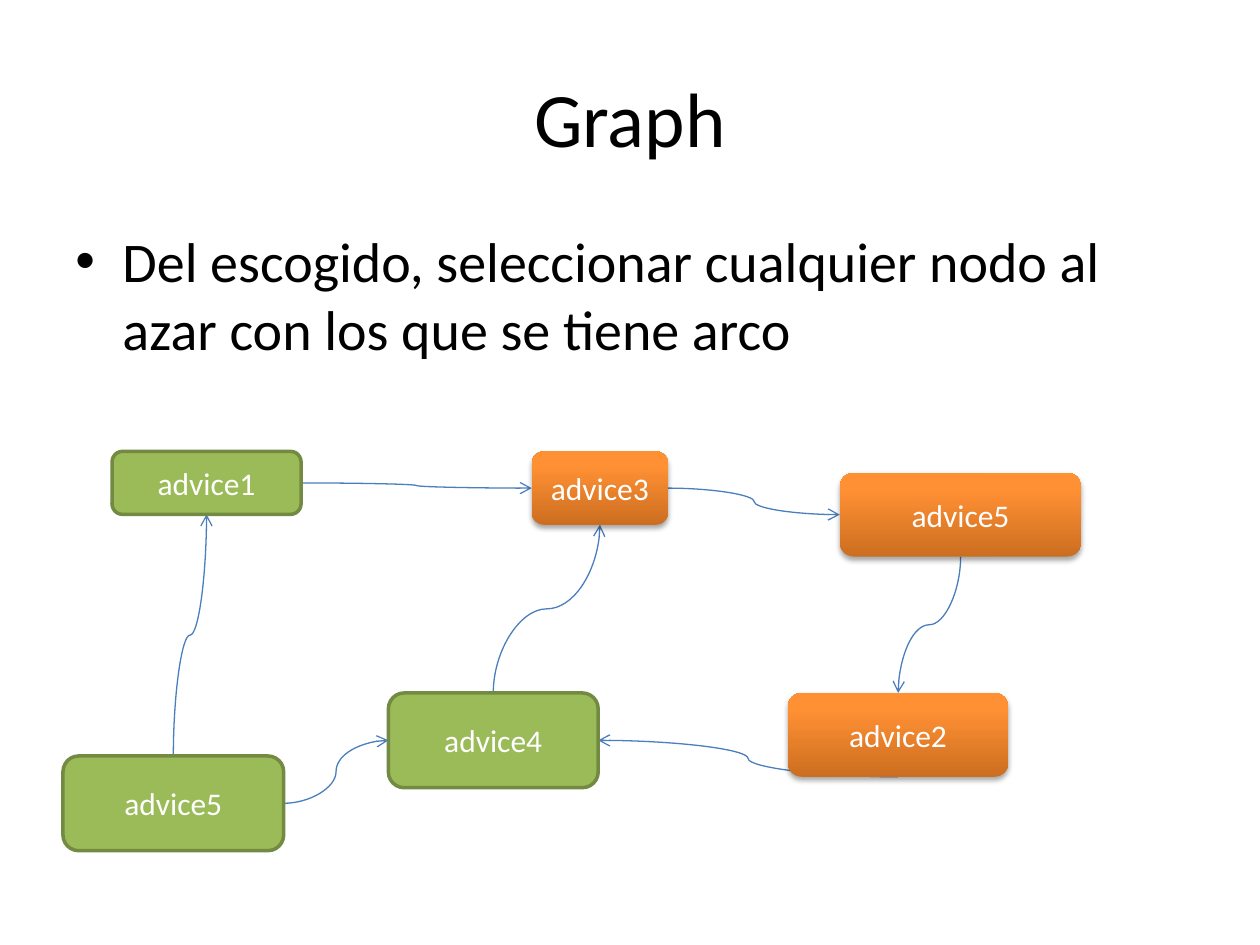
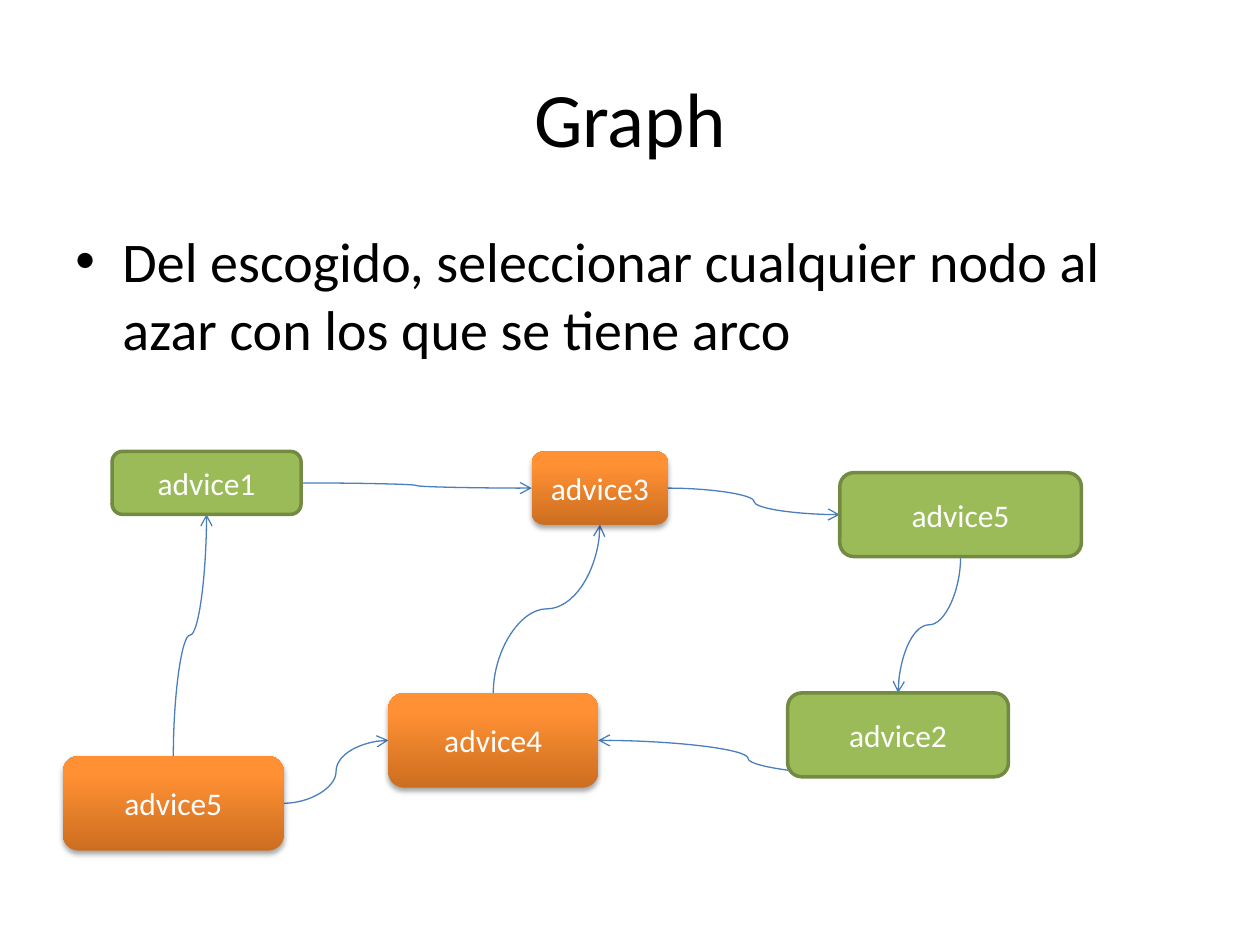
from copy import deepcopy

from lxml import etree
from pptx import Presentation
from pptx import util as u
from pptx.dml.color import RGBColor
from pptx.enum import shapes, text
from pptx.oxml.ns import qn

COLORS = {
    "text": "000000", "node text": "FFFFFF", "arrow": "4B7EBC",
    "green": "9BBB59", "green edge": "738A42", "shadow": "000000",
    "orange dark": "CC6E20", "orange": "FF9034", "orange light": "FF9136",
}
ORANGE_STOPS = [(0, "orange dark"), (0.8, "orange"), (1, "orange light")]
FONT = "Calibri"
TITLE = "Graph"
RULE = "Del escogido, seleccionar cualquier nodo al azar con los que se tiene arco"

# Node: label, left, top, width, height in cm
NODES = {
    "one": ("advice1", 2.26, 9.1, 3.81, 1.27),
    "three": ("advice3", 10.72, 9.1, 2.75, 1.48),
    "five right": ("advice5", 16.93, 9.53, 4.87, 1.69),
    "four": ("advice4", 7.83, 13.97, 4.23, 1.91),
    "two": ("advice2", 15.88, 13.97, 4.45, 1.69),
    "five left": ("advice5", 1.27, 15.24, 4.45, 1.91),
}
# Side of a node: share of its width and of its height
SIDES = {"top": (0.5, 0), "left": (0, 0.5), "bottom": (0.5, 1), "right": (1, 0.5)}
ARCS = [
    ("one", "right", "three", "left"),
    ("three", "right", "five right", "left"),
    ("two", "bottom", "four", "right"),
    ("four", "top", "three", "bottom"),
    ("five right", "bottom", "two", "top"),
    ("five left", "top", "one", "bottom"),
    ("five left", "right", "four", "left"),
]
ORANGE_NODES = [
    {"three", "five right", "two"},
    {"three", "four", "five left"},
]


def write(box, words, size, color, align):
    box.text_frame.word_wrap = True
    para = box.text_frame.paragraphs[0]
    para.text = words
    para.alignment = align
    para.font.name = FONT
    para.font.size = u.Pt(size)
    para.font.color.rgb = RGBColor.from_string(COLORS[color])
    return para


def side_point(node, side):
    label, left, top, width, height = NODES[node]
    across, down = SIDES[side]
    return left + across * width, top + down * height


deck = Presentation()
deck.slide_width, deck.slide_height = u.Cm(25.4), u.Cm(19.05)

for orange_nodes in ORANGE_NODES:
    page = deck.slides.add_slide(deck.slide_layouts[6])

    title = page.shapes.add_textbox(u.Cm(1.27), u.Cm(0.76), u.Cm(22.86), u.Cm(3.18))
    title.text_frame.vertical_anchor = text.MSO_ANCHOR.MIDDLE
    write(title, TITLE, 44, "text", text.PP_ALIGN.CENTER)

    body = page.shapes.add_textbox(u.Cm(1.27), u.Cm(4.45), u.Cm(22.86), u.Cm(3.18))
    para = write(body, RULE, 32, "text", text.PP_ALIGN.LEFT)
    para.space_before = u.Pt(6.4)
    settings = para._p.get_or_add_pPr()
    settings.set("marL", str(u.Cm(0.95)))
    settings.set("indent", str(-u.Cm(0.95)))
    bullet_font = etree.Element(qn("a:buFont"), typeface="Arial")
    bullet = etree.Element(qn("a:buChar"), char="•")
    settings.find(qn("a:spcBef")).addnext(bullet_font)
    bullet_font.addnext(bullet)

    # Arcs lie behind the nodes
    for start, start_side, end, end_side in ARCS:
        x1, y1 = side_point(start, start_side)
        x2, y2 = side_point(end, end_side)
        upright = end_side in ("top", "bottom")
        if upright:  # lay the curve on its side, then turn it by 90 degrees
            middle_x, middle_y = (x1 + x2) / 2, (y1 + y2) / 2
            half_x, half_y = (x2 - x1) / 2, (y2 - y1) / 2
            x1, y1 = middle_x - half_y, middle_y + half_x
            x2, y2 = middle_x + half_y, middle_y - half_x
        arc = page.shapes.add_connector(
            shapes.MSO_CONNECTOR.CURVE, u.Cm(x1), u.Cm(y1), u.Cm(x2), u.Cm(y2))
        properties = arc._element.spPr
        if upright:
            properties.find(qn("a:xfrm")).set("rot", str(90 * 60000))
        arc.line.color.rgb = RGBColor.from_string(COLORS["arrow"])
        arc.line.width = u.Pt(0.75)
        etree.SubElement(arc.line._get_or_add_ln(), qn("a:tailEnd"), type="arrow")
        etree.SubElement(properties, qn("a:effectLst"))

    for node, (label, *place) in NODES.items():
        box = page.shapes.add_shape(
            shapes.MSO_SHAPE.ROUNDED_RECTANGLE, *[u.Cm(length) for length in place])
        box.shadow.inherit = False
        box.text_frame.vertical_anchor = text.MSO_ANCHOR.MIDDLE
        write(box, label, 18, "node text", text.PP_ALIGN.CENTER)
        if node not in orange_nodes:
            box.fill.solid()
            box.fill.fore_color.rgb = RGBColor.from_string(COLORS["green"])
            box.line.color.rgb = RGBColor.from_string(COLORS["green edge"])
            box.line.width = u.Pt(2)
            continue

        box.line.fill.background()
        box.fill.gradient()
        box.fill.gradient_angle = 90
        properties = box._element.spPr
        stop_list = properties.find(".//" + qn("a:gsLst"))
        stop_list.append(deepcopy(stop_list[0]))
        for stop, (position, color) in zip(box.fill.gradient_stops, ORANGE_STOPS):
            stop.position = position
            stop.color.rgb = RGBColor.from_string(COLORS[color])
        shadow = etree.SubElement(
            properties.find(qn("a:effectLst")), qn("a:outerShdw"),
            blurRad=str(u.Pt(3.1)), dist=str(u.Pt(1.8)),
            dir=str(90 * 60000), rotWithShape="0")
        tint = etree.SubElement(shadow, qn("a:srgbClr"), val=COLORS["shadow"])
        etree.SubElement(tint, qn("a:alpha"), val="35000")

deck.save("out.pptx")
